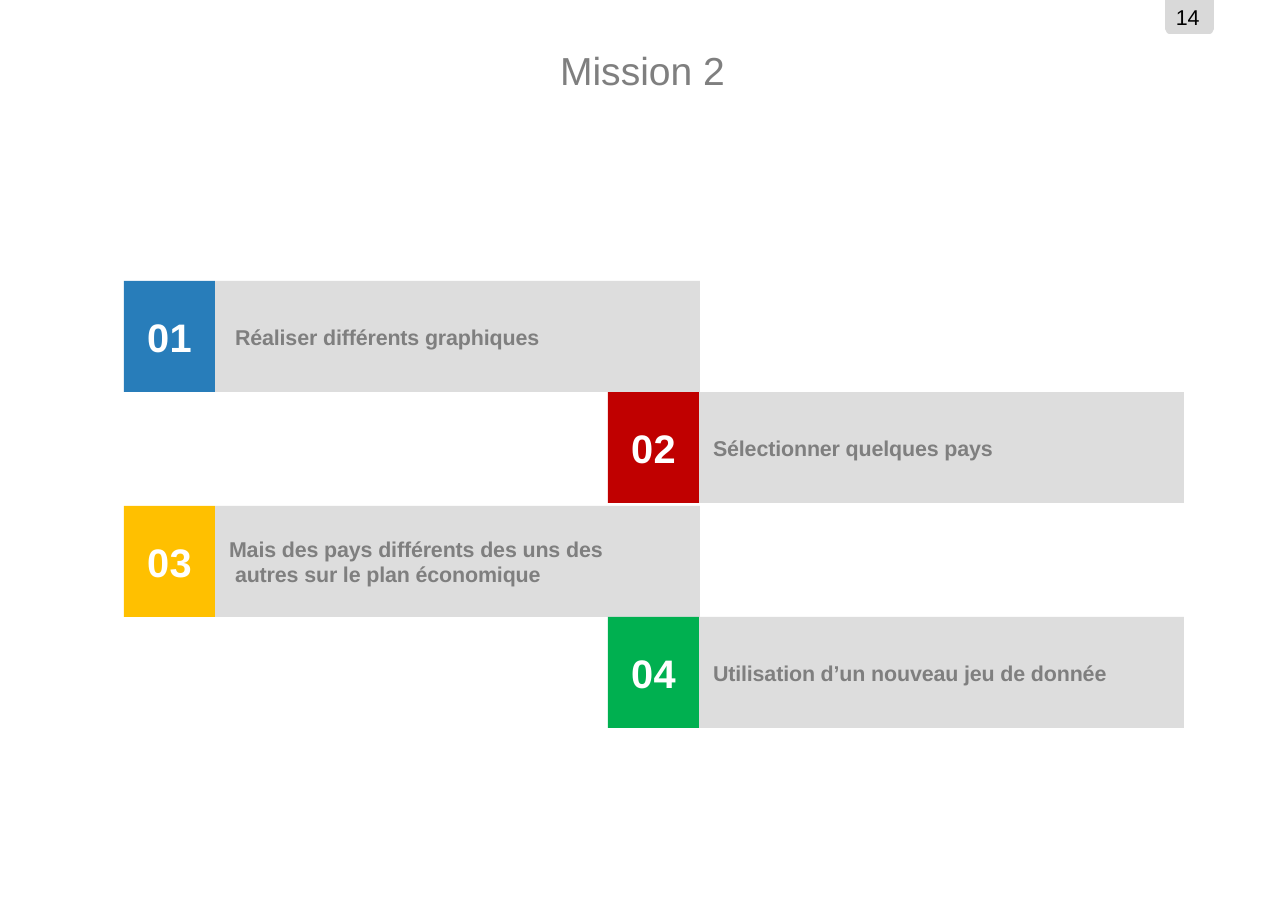
"""Build the Mission 2 slide with four staggered steps."""
from dataclasses import dataclass

from pptx import Presentation
from pptx.dml.color import RGBColor as Rgb
from pptx.enum.shapes import MSO_SHAPE as Kind
from pptx.enum.text import MSO_ANCHOR as Anchor, PP_ALIGN as Align
from pptx.util import Pt

PX = 8298
WIDE, HIGH = 1288, 911
LEFT, TOP = 124, 281
NUM, BAR, TALL = 91, 485, 111
SHIFT, GAP = 484, 3
HUES = {
    "blue": "287DBA", "red": "C00000", "gold": "FFC000", "green": "00B050",
    "bar": "DDDDDD", "tab": "D9D9D9", "gray": "7F7F7F",
    "white": "FFFFFF", "black": "000000",
}


@dataclass(frozen=True)
class Line:
    text: str
    dent: int = 0


@dataclass(frozen=True)
class Face:
    size: float
    hue: str
    bold: bool = False
    space: int = 0


@dataclass(frozen=True)
class Step:
    num: str
    hue: str
    lines: tuple[Line, ...]


TITLE = Face(25.5, "gray")
PAGE = Face(14, "black", space=-10)
DIGIT = Face(26, "white", True, 20)
LABEL = Face(14, "gray", True, -10)
STEPS = (
    Step("01", "blue", (Line("Réaliser différents graphiques", 20),)),
    Step("02", "red", (Line("Sélectionner quelques pays", 14),)),
    Step("03", "gold", (Line("Mais des pays différents des uns des", 14),
                        Line("autres sur le plan économique", 20))),
    Step("04", "green", (Line("Utilisation d’un nouveau jeu de donnée", 14),)),
)
TAB = ((1165, 0), (1165, 29), (1166, 31), (1167, 33), (1169, 34), (1171, 34),
       (1208, 34), (1210, 34), (1212, 33), (1213, 31), (1214, 29), (1214, 0))


def paint(shape, hue: str) -> None:
    shape.shadow.inherit = False
    shape.fill.solid()
    shape.fill.fore_color.rgb = Rgb.from_string(HUES[hue])
    shape.line.fill.background()


def write(shape, lines: tuple[Line, ...], face: Face,
          align=Align.LEFT, anchor=Anchor.MIDDLE) -> None:
    frame = shape.text_frame
    frame.word_wrap = True
    frame.vertical_anchor = anchor
    frame.margin_left = frame.margin_right = 0
    frame.margin_top = frame.margin_bottom = 0
    for i, line in enumerate(lines):
        para = frame.add_paragraph() if i else frame.paragraphs[0]
        para.alignment = align
        props = para._p.get_or_add_pPr()
        props.set("marL", str(line.dent * PX))
        props.set("indent", "0")
        run = para.add_run()
        run.text = line.text
        font = run.font
        font.name, font.size, font.bold = "Arial", Pt(face.size), face.bold
        font.color.rgb = Rgb.from_string(HUES[face.hue])
        if face.space:
            run._r.get_or_add_rPr().set("spc", str(face.space))


def block(slide, x: int, y: int, w: int, hue: str):
    shape = slide.shapes.add_shape(
        Kind.RECTANGLE, x * PX, y * PX, w * PX, TALL * PX)
    paint(shape, hue)
    return shape


def note(slide, x: int, y: int, w: int, h: int, text: str, face: Face) -> None:
    box = slide.shapes.add_textbox(x * PX, y * PX, w * PX, h * PX)
    write(box, (Line(text),), face, anchor=Anchor.TOP)


def draw(slide, i: int, step: Step) -> None:
    x = LEFT + i % 2 * SHIFT
    y = TOP + i * TALL + i // 2 * GAP
    write(block(slide, x, y, NUM, step.hue), (Line(step.num),), DIGIT,
          Align.CENTER)
    write(block(slide, x + NUM, y, BAR, "bar"), step.lines, LABEL)


def main() -> None:
    deck = Presentation()
    deck.slide_width, deck.slide_height = WIDE * PX, HIGH * PX
    slide = deck.slides.add_slide(deck.slide_layouts[6])
    pen = slide.shapes.build_freeform(*TAB[0], scale=PX)
    pen.add_line_segments(TAB[1:], close=True)
    paint(pen.convert_to_shape(), "tab")
    note(slide, 560, 46, 180, 45, "Mission 2", TITLE)
    note(slide, 1176, 4, 30, 25, "14", PAGE)
    for i, step in enumerate(STEPS):
        draw(slide, i, step)
    deck.save("out.pptx")


if __name__ == "__main__":
    main()
